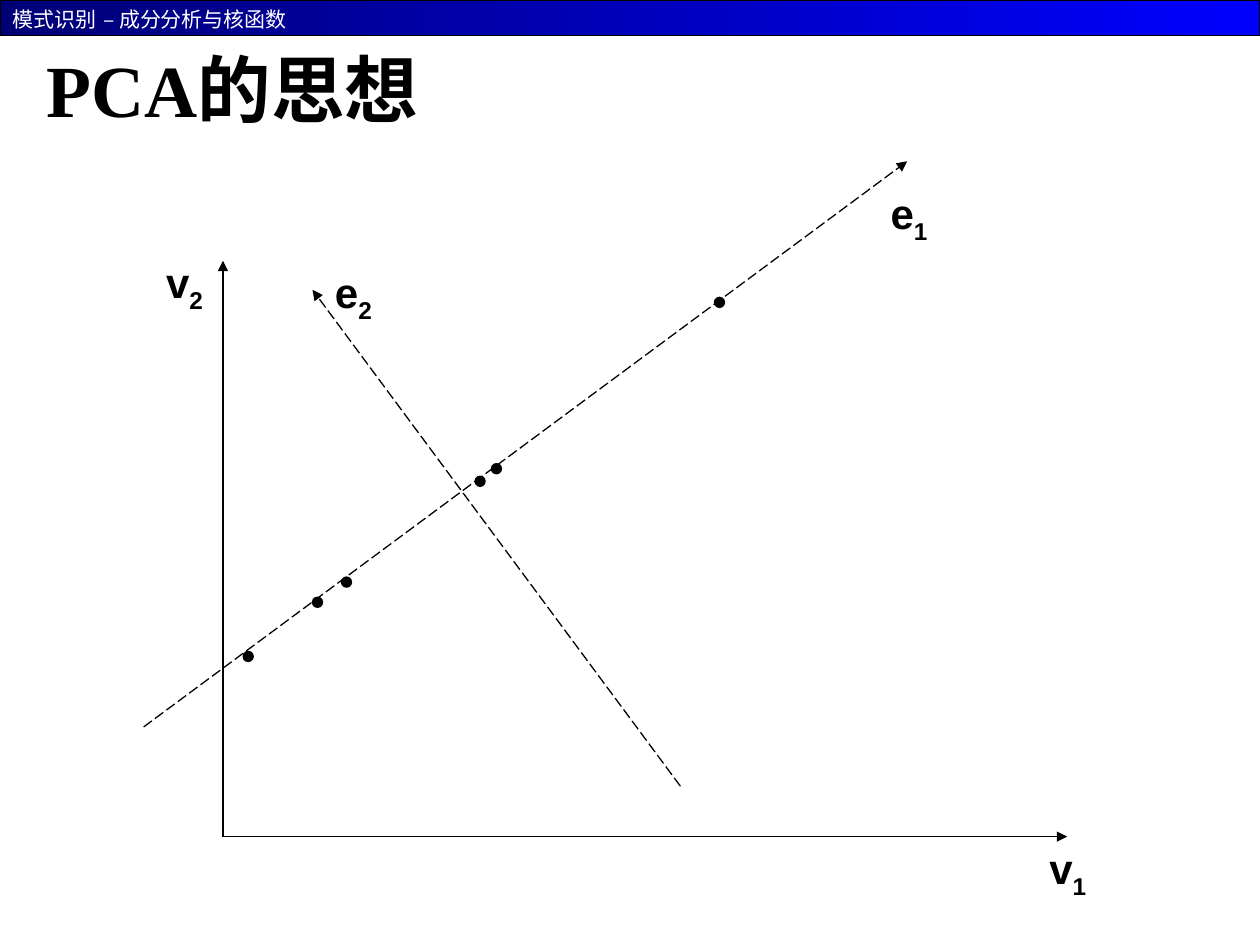
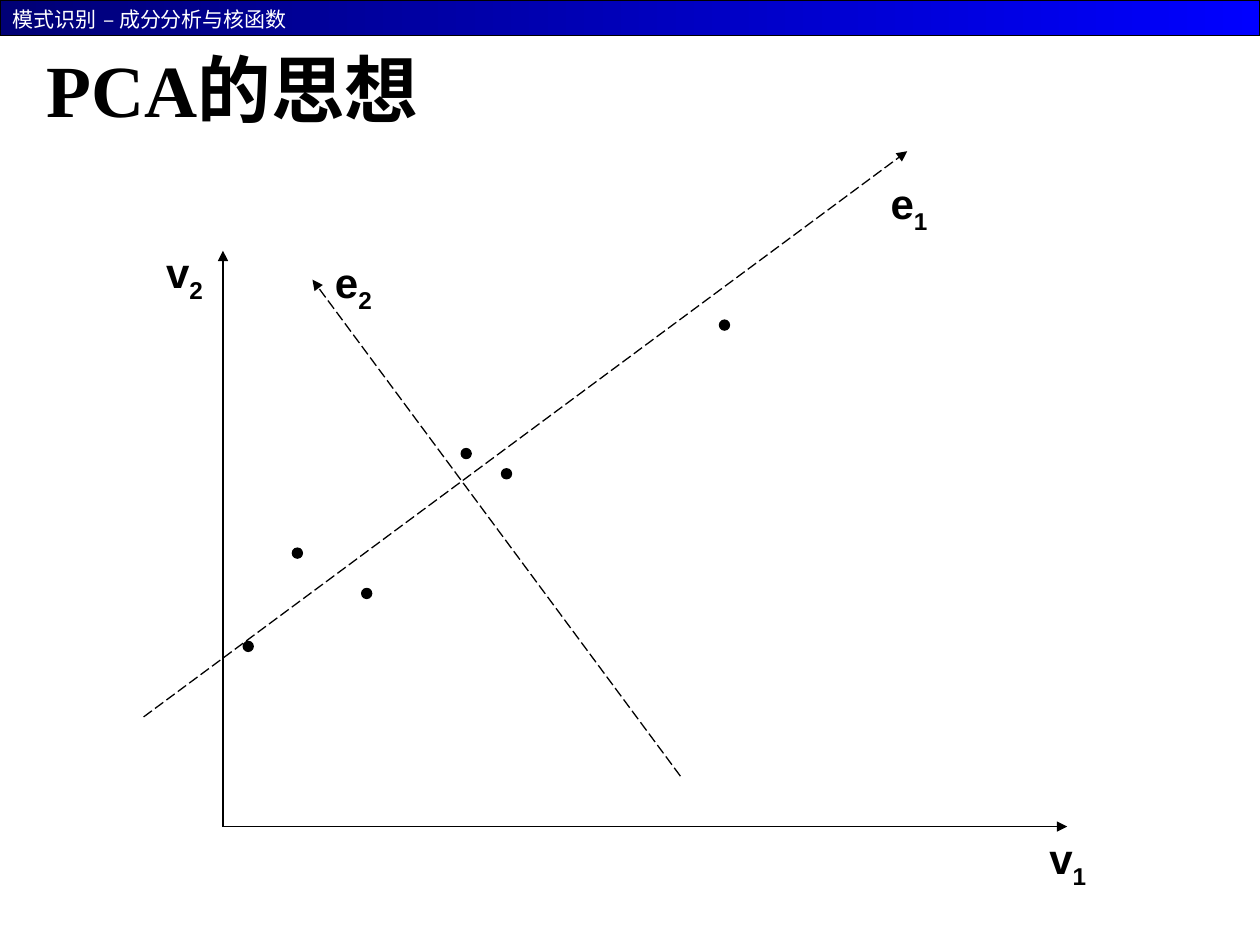
from dataclasses import dataclass

import pptx
import pptx.dml.color
import pptx.enum.dml
import pptx.enum.shapes
import pptx.enum.text
import pptx.oxml.ns
import pptx.shapes.connector
import pptx.shapes.shapetree
import pptx.slide
import pptx.text.text
import pptx.util
from lxml import etree
from pptx.util import Inches

RGB = pptx.dml.color.RGBColor


@dataclass(frozen=True)
class Theme:
    ink: RGB = RGB(0, 0, 0)
    band_start: RGB = RGB(0x00, 0x00, 0x76)
    band_end: RGB = RGB(0x00, 0x00, 0xFF)
    band_text: RGB = RGB(0xFF, 0xFF, 0xFF)
    title_font: str = "Times New Roman"
    label_font: str = "Arial"
    chinese_font: str = "DejaVu Sans"
    dash_font: str = "Noto Sans CJK SC"
    title_size: pptx.util.Pt = pptx.util.Pt(42)
    label_size: pptx.util.Pt = pptx.util.Pt(24)
    band_size: pptx.util.Pt = pptx.util.Pt(12)
    line_width: pptx.util.Pt = pptx.util.Pt(0.75)


@dataclass(frozen=True)
class Axis:
    """An arrow with its label; all lengths are inches."""
    name: str
    index: str
    start: tuple[float, float]
    end: tuple[float, float]
    label_at: tuple[float, float]


@dataclass(frozen=True)
class PcaSlide:
    """The drop moves the axes down; dots are given by their top left corners."""
    drop: float
    dots: tuple[tuple[float, float], ...]


THEME = Theme()
TITLE = "PCA的思想"
BAND_RUNS = (
    ("模式识别 ", THEME.chinese_font),
    ("– ", THEME.dash_font),
    ("成分分析与核函数", THEME.chinese_font),
)
DOT_SIZE = 0.08
ORIGIN = (1.77, 6.56)
VARIABLE_AXES = (
    Axis("v", "1", ORIGIN, (8.47, 6.56), (8.23, 6.56)),
    Axis("v", "2", ORIGIN, (1.77, 1.99), (1.22, 1.91)),
)
COMPONENT_AXES = (
    Axis("e", "1", (1.14, 5.69), (7.2, 1.2), (6.97, 1.36)),
    Axis("e", "2", (5.4, 6.16), (2.48, 2.22), (2.56, 1.99)),
)
PROJECTED = PcaSlide(0.08, ((2.48, 4.74), (2.71, 4.58), (3.77, 3.78),
                            (3.9, 3.68), (1.93, 5.17), (5.67, 2.36)))
SCATTERED = PcaSlide(0, ((2.32, 4.35), (2.87, 4.67), (3.66, 3.56),
                         (3.98, 3.72), (1.93, 5.09), (5.71, 2.54)))

Shapes = pptx.shapes.shapetree.SlideShapes | pptx.shapes.shapetree.GroupShapes


def set_chinese_font(run: pptx.text.text._Run, name: str) -> None:
    properties = run._r.get_or_add_rPr()
    etree.SubElement(properties, pptx.oxml.ns.qn("a:ea"), typeface=name)


def style_line(line: pptx.dml.line.LineFormat) -> None:
    line.color.rgb = THEME.ink
    line.width = THEME.line_width


def add_band(slide: pptx.slide.Slide) -> None:
    band = slide.shapes.add_shape(pptx.enum.shapes.MSO_SHAPE.RECTANGLE,
                                  0, 0, Inches(10), Inches(0.28))
    band.shadow.inherit = False
    band.fill.gradient()
    band.fill.gradient_angle = 0
    colors = (THEME.band_start, THEME.band_end)
    for stop, color in zip(band.fill.gradient_stops, colors):
        stop.color.rgb = color
    style_line(band.line)

    box = slide.shapes.add_textbox(0, 0, Inches(3.58), Inches(0.3))
    box.text_frame.word_wrap = True
    paragraph = box.text_frame.paragraphs[0]
    paragraph.font.size = THEME.band_size
    paragraph.font.color.rgb = THEME.band_text
    for text, font_name in BAND_RUNS:
        run = paragraph.add_run()
        run.text = text
        run.font.name = font_name
        set_chinese_font(run, font_name)


def format_title(slide: pptx.slide.Slide) -> None:
    title = slide.shapes.title
    title.left, title.top = Inches(0.27), Inches(0.3)
    title.width, title.height = Inches(9.23), Inches(1.08)
    frame = title.text_frame
    frame.text = TITLE
    frame.auto_size = pptx.enum.text.MSO_AUTO_SIZE.NONE
    frame.vertical_anchor = pptx.enum.text.MSO_ANCHOR.TOP
    paragraph = frame.paragraphs[0]
    paragraph.alignment = pptx.enum.text.PP_ALIGN.LEFT
    paragraph.font.name = THEME.title_font
    paragraph.font.size = THEME.title_size
    paragraph.font.bold = True
    paragraph.font.color.rgb = THEME.ink
    set_chinese_font(paragraph.runs[0], THEME.chinese_font)


def add_arrow(shapes: Shapes, axis: Axis, drop: float) -> pptx.shapes.connector.Connector:
    (start_x, start_y), (end_x, end_y) = axis.start, axis.end
    arrow = shapes.add_connector(
        pptx.enum.shapes.MSO_CONNECTOR.STRAIGHT,
        Inches(start_x), Inches(start_y + drop), Inches(end_x), Inches(end_y + drop))
    style_line(arrow.line)
    properties = arrow._element.spPr
    etree.SubElement(properties.find(pptx.oxml.ns.qn("a:ln")),
                     pptx.oxml.ns.qn("a:tailEnd"), type="triangle")
    etree.SubElement(properties, pptx.oxml.ns.qn("a:effectLst"))
    return arrow


def add_label(shapes: Shapes, axis: Axis, drop: float) -> None:
    left, top = axis.label_at
    box = shapes.add_textbox(Inches(left), Inches(top + drop), Inches(0.79), Inches(0.5))
    box.text_frame.word_wrap = True
    paragraph = box.text_frame.paragraphs[0]
    paragraph.font.name = THEME.label_font
    paragraph.font.size = THEME.label_size
    paragraph.font.bold = True
    paragraph.font.color.rgb = THEME.ink
    paragraph.add_run().text = axis.name
    subscript = paragraph.add_run()
    subscript.text = axis.index
    subscript._r.get_or_add_rPr().set("baseline", "-25000")


def add_dot(shapes: Shapes, left: float, top: float) -> None:
    dot = shapes.add_shape(pptx.enum.shapes.MSO_SHAPE.OVAL, Inches(left), Inches(top),
                           Inches(DOT_SIZE), Inches(DOT_SIZE))
    dot.shadow.inherit = False
    dot.fill.solid()
    dot.fill.fore_color.rgb = THEME.ink
    style_line(dot.line)


def add_pca_slide(presentation: pptx.presentation.Presentation, content: PcaSlide) -> None:
    slide = presentation.slides.add_slide(presentation.slide_layouts.get_by_name("Title Only"))
    add_band(slide)
    format_title(slide)
    for axis in VARIABLE_AXES:
        add_arrow(slide.shapes, axis, content.drop)
    for left, top in content.dots:
        add_dot(slide.shapes, left, top)
    for axis in VARIABLE_AXES:
        add_label(slide.shapes, axis, content.drop)

    components = slide.shapes.add_group_shape().shapes
    for axis in COMPONENT_AXES:
        arrow = add_arrow(components, axis, content.drop)
        arrow.line.dash_style = pptx.enum.dml.MSO_LINE.LONG_DASH
        add_label(components, axis, content.drop)


def main() -> None:
    presentation = pptx.Presentation()
    presentation.slide_width = Inches(10)
    presentation.slide_height = Inches(7.5)
    for content in (PROJECTED, SCATTERED):
        add_pca_slide(presentation, content)
    presentation.save("out.pptx")


if __name__ == "__main__":
    main()
